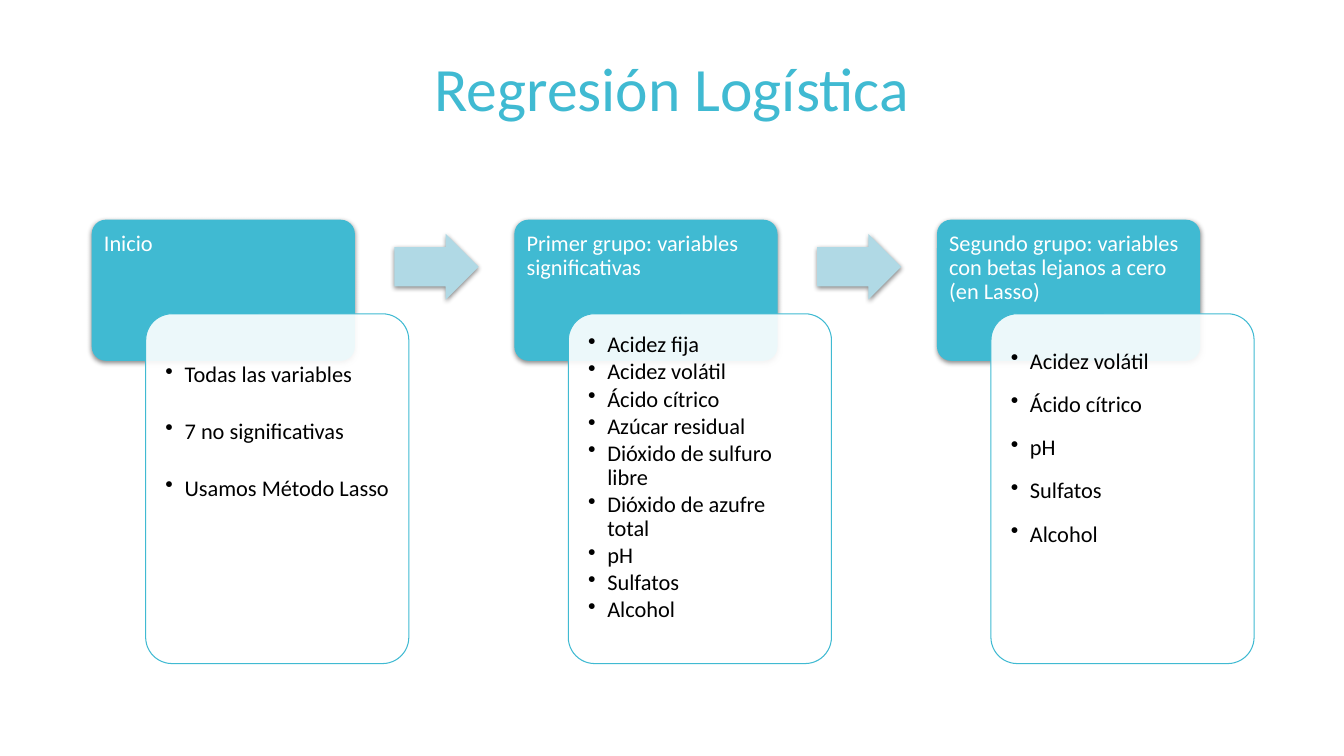
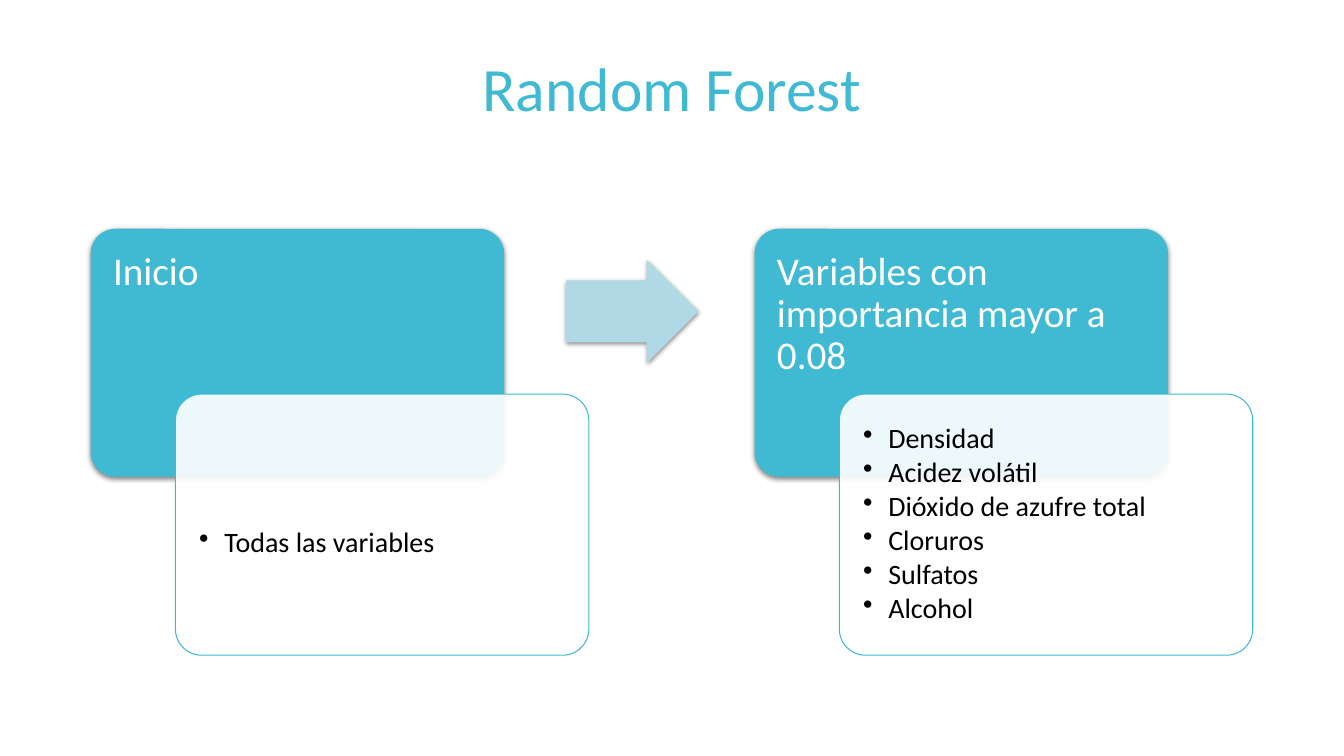
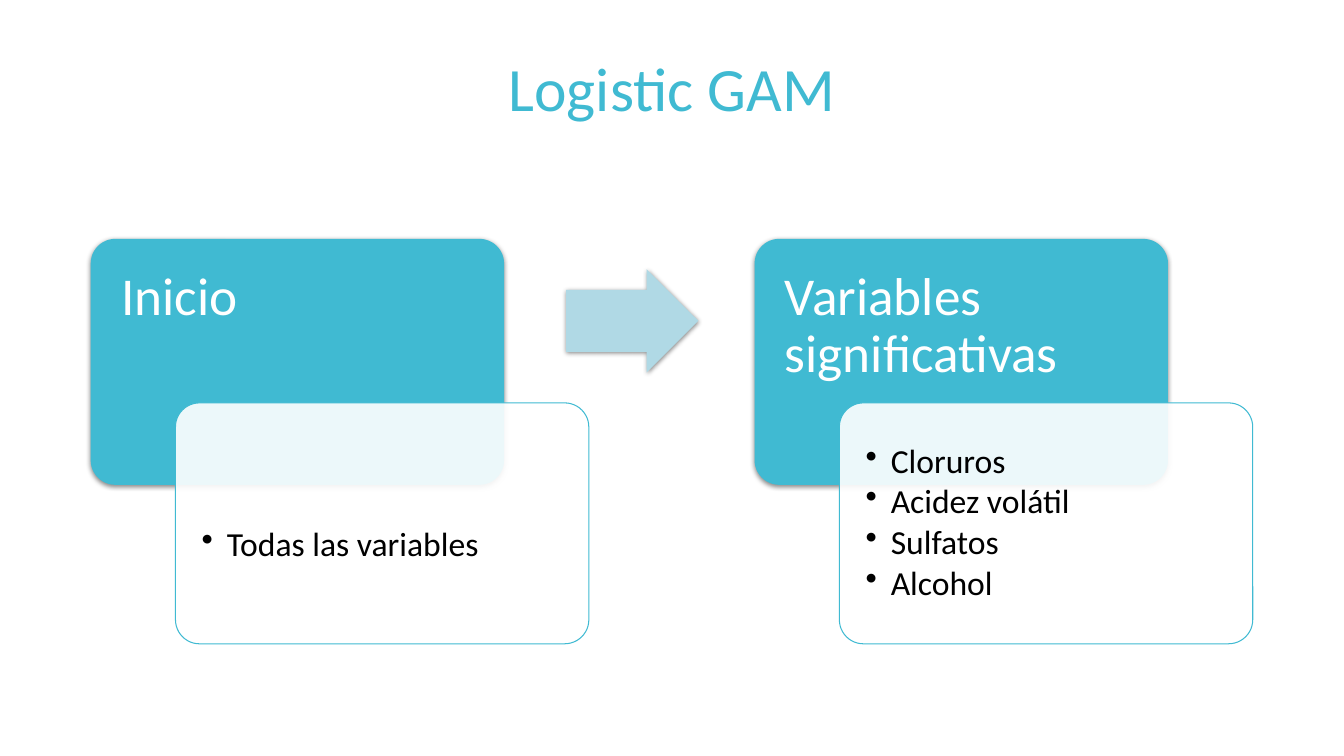
from lxml import etree
from pptx import Presentation
from pptx.dml.color import RGBColor
from pptx.enum import shapes, text
from pptx.oxml import ns
from pptx.util import Inches, Pt

FONT = "Calibri"
TEAL, PALE_TEAL, WHITE, BLACK = "40BAD2", "B0D9E5", "FFFFFF", "000000"

# Each stage: heading, line spacing of its list, list items
slides = [
    dict(title="Regresión Logística", left=0.91, top=2.18, width=2.61,
         heading_height=1.4, card_height=3.47, heading_size=16, item_size=16,
         heading_inset=0.08, card_inset=0.12, indent=0.19,
         anchor=text.MSO_ANCHOR.TOP,
         stages=[
             ("Inicio", 2,
              ["Todas las variables", "7 no significativas", "Usamos Método Lasso"]),
             ("Primer grupo: variables significativas", 0.9,
              ["Acidez fija", "Acidez volátil", "Ácido cítrico", "Azúcar residual",
               "Dióxido de sulfuro libre", "Dióxido de azufre total", "pH",
               "Sulfatos", "Alcohol"]),
             ("Segundo grupo: variables con betas lejanos a cero (en Lasso)", 1.5,
              ["Acidez volátil", "Ácido cítrico", "pH", "Sulfatos", "Alcohol"]),
         ]),
    dict(title="Random Forest", left=0.9, top=2.27, width=4.1,
         heading_height=2.46, card_height=2.59, heading_size=28, item_size=20,
         heading_inset=0.15, card_inset=0.16, indent=0.25,
         anchor=text.MSO_ANCHOR.MIDDLE,
         stages=[
             ("Inicio", 2, ["Todas las variables"]),
             ("Variables con importancia mayor a 0.08", 0.9,
              ["Densidad", "Acidez volátil", "Dióxido de azufre total", "Cloruros",
               "Sulfatos", "Alcohol"]),
         ]),
    dict(title="Logistic GAM", left=0.9, top=2.37, width=4.1,
         heading_height=2.44, card_height=2.39, heading_size=38, item_size=24,
         heading_inset=0.23, card_inset=0.19, indent=0.25,
         anchor=text.MSO_ANCHOR.MIDDLE,
         stages=[
             ("Inicio", 2, ["Todas las variables"]),
             ("Variables significativas", 0.9,
              ["Cloruros", "Acidez volátil", "Sulfatos", "Alcohol"]),
         ]),
]


def add_block(slide, preset, box, fill, adjustments, shadow=True):
    """Add a borderless filled shape; box is left, top, width, height in inches."""
    block = slide.shapes.add_shape(preset, *map(Inches, box))
    for i, value in enumerate(adjustments):
        block.adjustments[i] = value
    block.fill.solid()
    block.fill.fore_color.rgb = RGBColor.from_string(fill)
    block.line.fill.background()
    block.shadow.inherit = False
    if shadow:
        effects = block._element.spPr.find(ns.qn("a:effectLst"))
        outer = etree.SubElement(effects, ns.qn("a:outerShdw"), blurRad=str(Pt(3.5)),
                                 dist=str(Pt(1.1)), dir="5400000", rotWithShape="0")
        tint = etree.SubElement(outer, ns.qn("a:srgbClr"), val=BLACK)
        etree.SubElement(tint, ns.qn("a:alpha"), val="45000")
    return block


def write(frame, lines, size, color, spacing, align, anchor, inset):
    """Fill a text frame with one paragraph per line."""
    frame.text = "\n".join(lines)
    frame.word_wrap = True
    frame.auto_size = text.MSO_AUTO_SIZE.NONE
    frame.vertical_anchor = anchor
    frame.margin_left = frame.margin_right = Inches(inset)
    frame.margin_top = frame.margin_bottom = Inches(inset)
    for paragraph in frame.paragraphs:
        paragraph.alignment = align
        paragraph.line_spacing = spacing
        font = paragraph.runs[0].font
        font.name, font.size = FONT, Pt(size)
        font.color.rgb = RGBColor.from_string(color)


prs = Presentation()
prs.slide_width, prs.slide_height = Inches(13.33), Inches(7.5)
layout = prs.slide_layouts[5]
layout_title = layout.placeholders[0]
layout_title.left, layout_title.top = 0, Inches(0.18)
layout_title.width, layout_title.height = prs.slide_width, Inches(1.36)

for spec_row in slides:
    slide = prs.slides.add_slide(layout)
    write(slide.shapes.title.text_frame, [spec_row["title"]], 44, TEAL, 1.0,
          text.PP_ALIGN.CENTER, text.MSO_ANCHOR.MIDDLE, 0.1)

    top, width = spec_row["top"], spec_row["width"]
    heading_height = spec_row["heading_height"]
    arrow_width, arrow_height = 0.32 * width, 0.25 * width
    last = len(spec_row["stages"]) - 1

    for i, (heading, spacing, items) in enumerate(spec_row["stages"]):
        left = spec_row["left"] + i * 1.606 * width
        header = add_block(slide, shapes.MSO_SHAPE.ROUNDED_RECTANGLE,
                           (left, top, width, heading_height), TEAL, [0.1])
        write(header.text_frame, [heading], spec_row["heading_size"], WHITE, 0.9,
              text.PP_ALIGN.LEFT, text.MSO_ANCHOR.TOP, spec_row["heading_inset"])

        card = add_block(slide, shapes.MSO_SHAPE.ROUNDED_RECTANGLE,
                         (left + 0.205 * width, top + heading_height * 2 / 3,
                          width, spec_row["card_height"]), WHITE, [0.1], shadow=False)
        card_color = card._element.spPr.find(ns.qn("a:solidFill"))[0]
        etree.SubElement(card_color, ns.qn("a:alpha"), val="90000")
        card.line.color.rgb = RGBColor.from_string(TEAL)
        card.line.width = Pt(0.75)
        write(card.text_frame, items, spec_row["item_size"], BLACK, spacing,
              text.PP_ALIGN.LEFT, spec_row["anchor"], spec_row["card_inset"])
        for item in card.text_frame.paragraphs:
            item.space_after = Pt(0.13 * spec_row["item_size"])
            properties = item._p.get_or_add_pPr()
            properties.set("marL", str(Inches(spec_row["indent"])))
            properties.set("indent", str(-Inches(spec_row["indent"])))
            etree.SubElement(properties, ns.qn("a:buChar"), char="•")

        if i < last:
            add_block(slide, shapes.MSO_SHAPE.RIGHT_ARROW,
                      (left + 1.15 * width, top + heading_height / 3 - arrow_height / 2,
                       arrow_width, arrow_height), PALE_TEAL, [0.6, 0.5])

prs.save("out.pptx")
